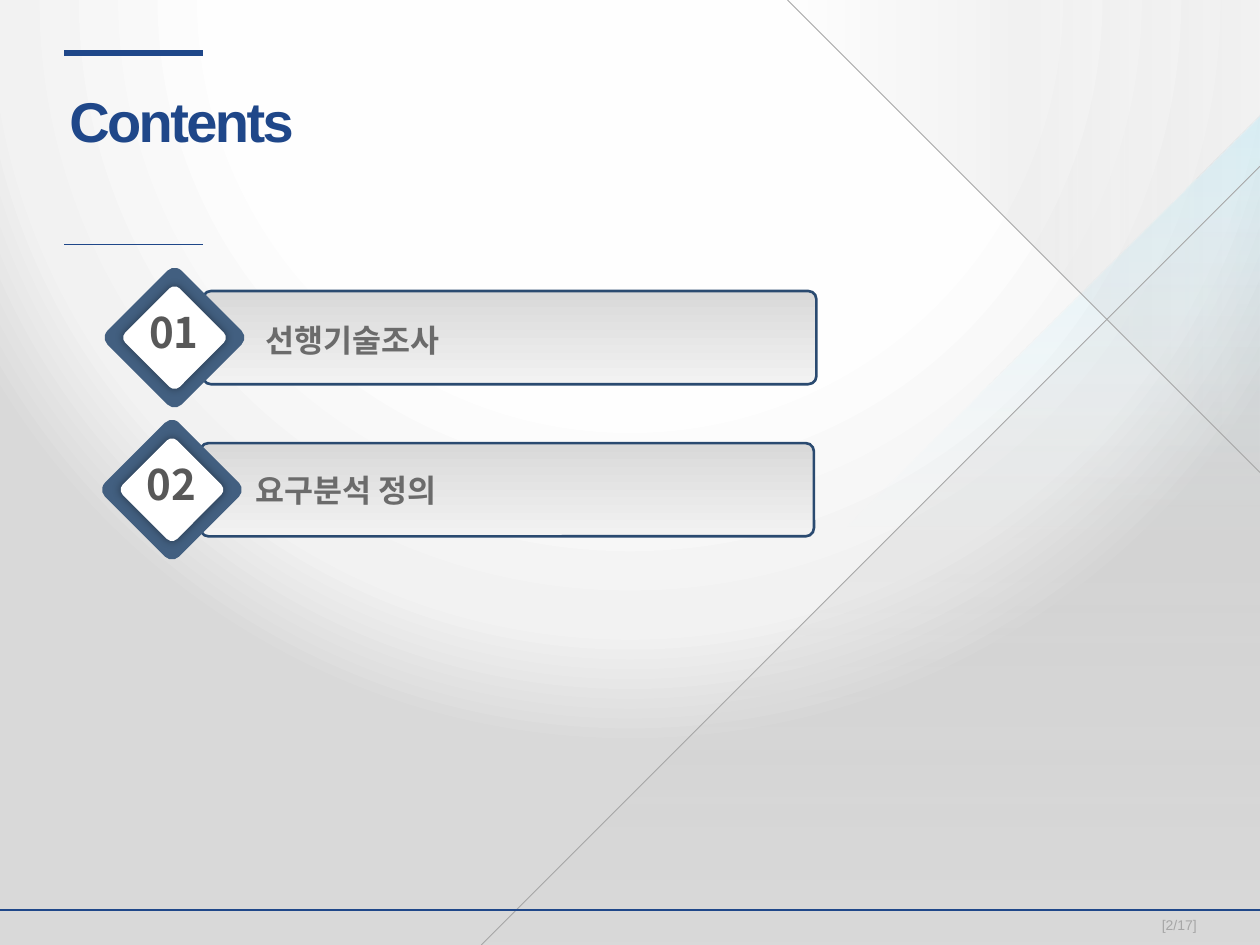
from dataclasses import dataclass

from lxml import etree
from pptx import Presentation
from pptx import util as u
from pptx.dml.color import RGBColor
from pptx.enum import shapes, text
from pptx.oxml import ns

COLUMNS, ROWS = 100, 75
SLIDE_W, SLIDE_H = u.Inches(10), u.Inches(7.5)


@dataclass(frozen=True)
class Theme:
    navy: str = "1F4789"
    badge: str = "425F80"
    bar_edge: str = "2A4A70"
    white: str = "FFFFFF"
    number: str = "585858"
    label: str = "6B6B6B"
    muted: str = "A6A6A6"
    black: str = "000000"
    backdrop: tuple = ((0, "FFFFFF"), (50, "FEFEFE"), (80, "F2F2F2"), (95, "D9D9D9"))
    glow: tuple = ((0, "BFBFBF", 0), (50, "D0F3FE", 0), (100, "A1E7FC", 30))
    shade: tuple = ((0, "BFBFBF", 0), (50, "BFBFBF", 20), (100, "BFBFBF", 0))
    bar: tuple = ((1, "F2F2F2"), (99, "D9D9D9"))
    font: str = "Arial"
    number_font: str = "Noto Sans CJK KR"
    title_size: int = 32
    number_size: int = 24
    label_size: int = 18
    page_size: int = 8


THEME = Theme()


def col(n):
    return round(SLIDE_W * n / COLUMNS)


def row(n):
    return round(SLIDE_H * n / ROWS)


def box(left, top, width, height):
    return col(left), row(top), col(width), row(height)


def add_xml(parent, tag, **attributes):
    child = etree.SubElement(parent, ns.qn(tag))
    for key, value in attributes.items():
        child.set(key, str(value))
    return child


def add_color(parent, color, opacity=100):
    node = add_xml(parent, "a:srgbClr", val=color)
    if opacity < 100:
        add_xml(node, "a:alpha", val=opacity * 1000)


def set_gradient(fill, owner, stops, angle=None, focus=None):
    fill.gradient()
    gradient = next(owner.iter(ns.qn("a:gradFill")))
    for child in list(gradient):
        gradient.remove(child)
    stop_list = add_xml(gradient, "a:gsLst")
    for position, *color in stops:
        add_color(add_xml(stop_list, "a:gs", pos=position * 1000), *color)
    if focus:
        center = add_xml(gradient, "a:path", path="circle")
        add_xml(center, "a:fillToRect", **{k: v * 1000 for k, v in focus.items()})
    else:
        add_xml(gradient, "a:lin", ang=angle * 60000, scaled=0)


def finish(shape, fill=None, stops=None, angle=0, edge=None, width=0, rotation=0):
    shape.shadow.inherit = False
    shape.rotation = rotation
    if stops:
        set_gradient(shape.fill, shape._element.spPr, stops, angle)
    elif fill:
        shape.fill.solid()
        shape.fill.fore_color.rgb = RGBColor.from_string(fill)
    else:
        shape.fill.background()
    if edge:
        shape.line.color.rgb = RGBColor.from_string(edge)
        shape.line.width = u.Pt(width)
    else:
        shape.line.fill.background()
    return shape


def add_preset(parent, kind, frame, adjust=None, **style):
    shape = parent.add_shape(kind, *box(*frame))
    if adjust is not None:
        shape.adjustments[0] = adjust
    return finish(shape, **style)


def add_rule(parent, start, end, color, width):
    rule = parent.add_connector(shapes.MSO_CONNECTOR.STRAIGHT,
                                col(start[0]), row(start[1]), col(end[0]), row(end[1]))
    rule.line.color.rgb = RGBColor.from_string(color)
    rule.line.width = u.Pt(width)
    add_xml(rule._element.spPr, "a:effectLst")


def write(shape, wording, size, color, font=THEME.font, bold=False, centered=False,
          insets=None, wrap=True, spacing=None):
    frame = shape.text_frame
    frame.word_wrap = wrap
    frame.vertical_anchor = text.MSO_ANCHOR.MIDDLE
    if insets:
        (frame.margin_left, frame.margin_top,
         frame.margin_right, frame.margin_bottom) = box(*insets)
    paragraph = frame.paragraphs[0]
    paragraph.alignment = text.PP_ALIGN.CENTER if centered else text.PP_ALIGN.LEFT
    run = paragraph.add_run()
    run.text = wording
    run.font.size = u.Pt(size)
    run.font.name = font
    run.font.bold = bold
    run.font.color.rgb = RGBColor.from_string(color)
    if spacing is not None:
        run._r.get_or_add_rPr().set("spc", str(round(spacing * 100)))


def add_text(parent, frame, wording, size, color, insets=(0, 0, 0, 0), **style):
    write(parent.add_textbox(*box(*frame)), wording, size, color, insets=insets, **style)


def add_glow(shadow_of):
    effects = shadow_of._element.spPr.find(ns.qn("a:effectLst"))
    shadow = add_xml(effects, "a:outerShdw", blurRad=u.Pt(5), dist=0, dir=0,
                     algn="ctr", rotWithShape=0)
    add_color(shadow, THEME.black, 40)


def add_backdrop(slide):
    set_gradient(slide.background.fill, slide._element, THEME.backdrop,
                 focus={"l": 50, "t": -80, "r": 50, "b": 180})
    canvas = slide.shapes
    builder = canvas.build_freeform(col(34), row(75.2))
    builder.add_line_segments([(col(34), row(9)), (col(99.8), row(75.2))])
    finish(builder.convert_to_shape(), stops=THEME.glow, rotation=270)
    for frame, rotation in (((38.2, 13.2, 61.8, 61.8), 270), ((62.5, 0, 37.5, 37.5), 180)):
        add_preset(canvas, shapes.MSO_SHAPE.RIGHT_TRIANGLE, frame,
                   stops=THEME.shade, rotation=rotation)
    add_rule(canvas, (38.2, ROWS), (COLUMNS, 13.2), THEME.muted, 0.5)
    add_rule(canvas, (62.5, 0), (COLUMNS, 37.5), THEME.muted, 0.5)


def add_header(canvas):
    add_text(canvas, (5.5, 6, 35.4, 7.1), "Contents", THEME.title_size, THEME.navy,
             bold=True, spacing=-1.5)
    for level, width in ((4.2, 3), (19.4, 1)):
        add_rule(canvas, (5.1, level), (16.1, level), THEME.navy, width)


def add_footer(canvas):
    footer = canvas.add_group_shape().shapes
    for start, end in ((18.5, COLUMNS), (0, 20.1)):
        add_rule(footer, (start, 72.2), (end, 72.2), THEME.navy, 1)
    add_text(canvas, (87.2, 72.4, 12.8, 2), "[2/17]", THEME.page_size, THEME.muted,
             centered=True)


def add_entry(canvas, left, top, number, label, label_left, label_top):
    rounded = shapes.MSO_SHAPE.ROUNDED_RECTANGLE
    add_preset(canvas, rounded, (left + 6.4, top + 0.45, 48.7, 7.4), 0.088,
               stops=THEME.bar, angle=270, edge=THEME.bar_edge, width=1.5)
    badge = canvas.add_group_shape().shapes
    add_preset(badge, rounded, (left, top, 8.3, 8.3), 0.094,
               fill=THEME.badge, rotation=45)
    add_glow(add_preset(badge, rounded, (left + 1.1, top + 1.1, 6.1, 6.1), 0.094,
                        fill=THEME.white, rotation=45))
    numeral = add_preset(canvas, shapes.MSO_SHAPE.OVAL, (left + 1.2, top + 1.55, 5.8, 4.3))
    write(numeral, number, THEME.number_size, THEME.number, font=THEME.number_font,
          bold=True, centered=True, wrap=False)
    add_text(canvas, (label_left, label_top, 53.4, 5.1), label, THEME.label_size,
             THEME.label, insets=(1.2, 1.2, 1.6, 0.8), bold=True)


def main():
    deck = Presentation()
    deck.slide_width, deck.slide_height = SLIDE_W, SLIDE_H
    slide = deck.slides.add_slide(deck.slide_layouts[6])
    add_backdrop(slide)
    add_header(slide.shapes)
    add_footer(slide.shapes)
    add_entry(slide.shapes, 9.7, 22.65, "01", "선행기술조사", 19.9, 24.2)
    add_entry(slide.shapes, 9.5, 34.72, "02", "요구분석 정의", 19.1, 36.1)
    deck.save("out.pptx")


main()
